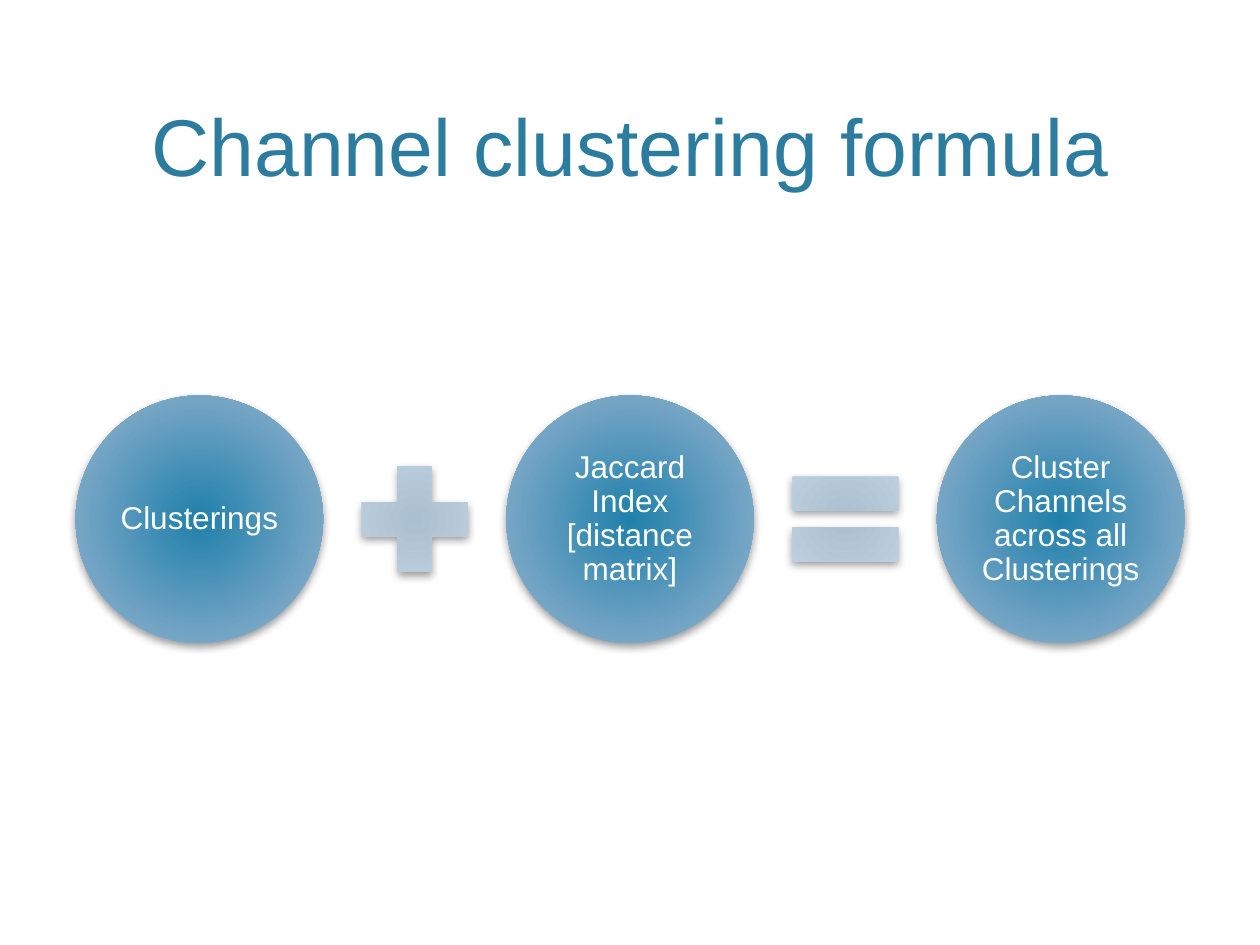
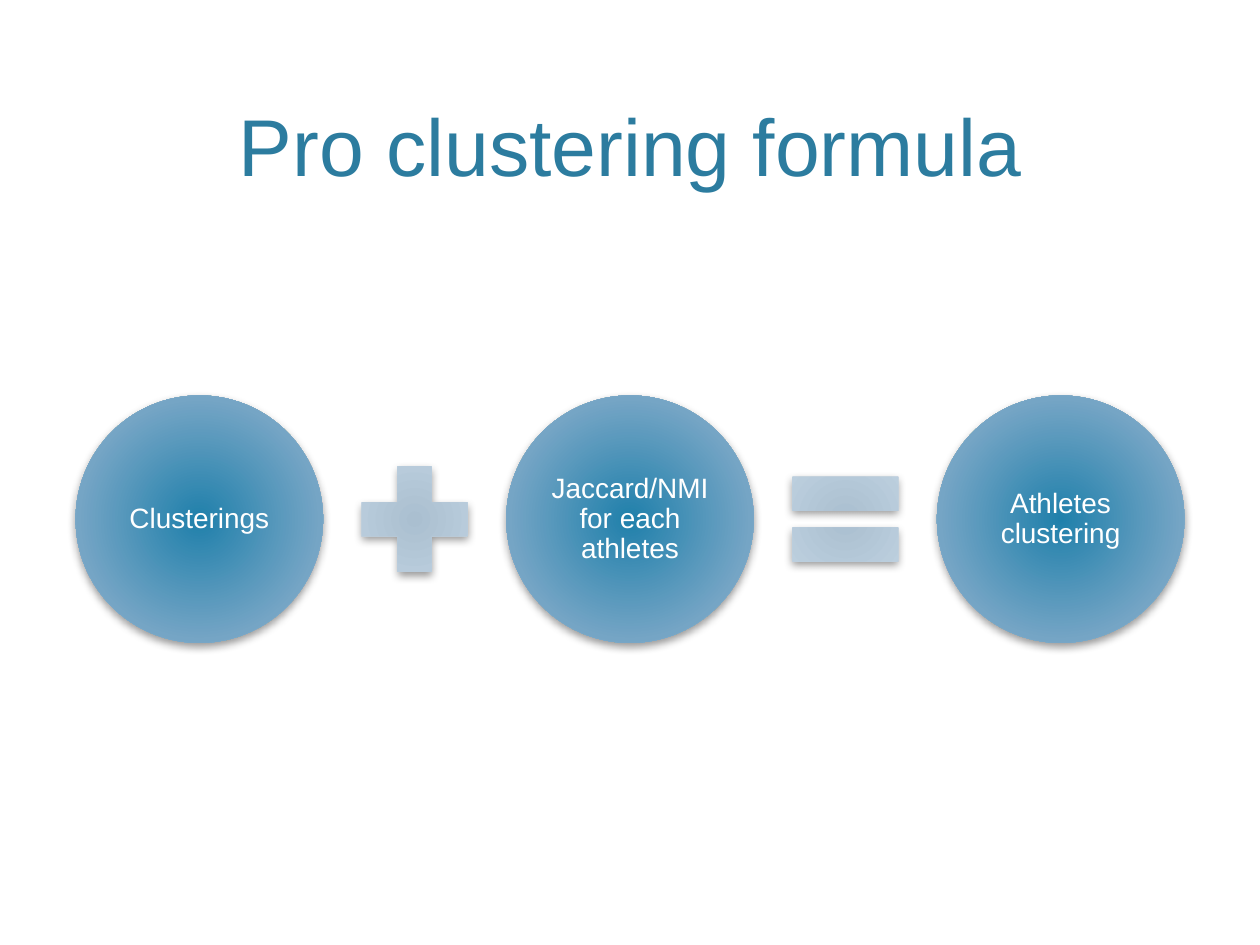
from dataclasses import dataclass

from pptx import Presentation
from pptx.dml.color import RGBColor
from pptx.enum.shapes import MSO_SHAPE as Preset
from pptx.enum.text import MSO_ANCHOR as Anchor, PP_ALIGN as Align
from pptx.oxml import parse_xml
from pptx.oxml.ns import nsdecls
from pptx.util import Pt

# Content: title, label size, and the three terms of each formula
FORMULAS = [
    ("Channel clustering formula", 18,
     ["Clusterings", "Jaccard Index [distance matrix]",
      "Cluster Channels across all Clusterings"]),
    ("Pro clustering formula", 16,
     ["Clusterings", "Jaccard/NMI for each athletes", "Athletes clustering"]),
]
OPERATORS = [Preset.MATH_PLUS, Preset.MATH_EQUAL]


@dataclass(frozen=True)
class Theme:
    font: str = "Arial"
    title_size: int = 46
    title_color: str = "2C7C9F"
    label_color: str = "FFFFFF"
    term_fill: tuple = ((0, "2080AB"), (69, "75A5C5"), (100, "B8CCDC"))
    operator_fill: tuple = ((0, "AABFD0"), (69, "BCCFDE"), (100, "D8E2EB"))
    shadow_color: str = "000000"
    shadow_opacity: int = 40
    shadow_blur: int = 5
    shadow_distance: int = 2


THEME = Theme()

# Layout in points: operators and gaps are fractions of a circle's diameter
SLIDE_WIDTH, SLIDE_HEIGHT = 720, 540
MARGIN = 43.2
CONTENT_WIDTH = SLIDE_WIDTH - 2 * MARGIN
TITLE_TOP, TITLE_HEIGHT = 8.64, 105.12
FORMULA_MIDDLE = 296.7
OPERATOR_RATIO, GAP_RATIO = 0.58, 0.08
CIRCLE = CONTENT_WIDTH / (3 + 2 * OPERATOR_RATIO + 4 * GAP_RATIO)
OPERATOR = CIRCLE * OPERATOR_RATIO
GAP = CIRCLE * GAP_RATIO


def write_text(shape, text, size, color, frame_format, line_spacing=None):
    frame = shape.text_frame
    for name, value in {"word_wrap": True, **frame_format}.items():
        setattr(frame, name, value)
    paragraph = frame.paragraphs[0]
    paragraph.alignment = Align.CENTER
    paragraph.line_spacing = line_spacing
    run = paragraph.add_run()
    run.text = text
    for name, value in {"name": THEME.font, "size": Pt(size)}.items():
        setattr(run.font, name, value)
    run.font.color.rgb = RGBColor.from_string(color)


def add_glossy_shape(slide, preset, left, size, stops):
    """Add a square-framed shape on the formula line, with glow fill and shadow."""
    shape = slide.shapes.add_shape(
        preset, Pt(left), Pt(FORMULA_MIDDLE - size / 2), Pt(size), Pt(size))
    shape.line.fill.background()
    shape.shadow.inherit = False

    # Radial gradient, placed right after the geometry
    stop_xml = "".join(
        f'<a:gs pos="{position * 1000}"><a:srgbClr val="{color}"/></a:gs>'
        for position, color in stops)
    properties = shape.element.spPr
    properties.insert(2, parse_xml(
        f'<a:gradFill {nsdecls("a")} rotWithShape="1"><a:gsLst>{stop_xml}</a:gsLst>'
        '<a:path path="circle"><a:fillToRect l="100000" t="100000" r="100000"'
        ' b="100000"/></a:path></a:gradFill>'))

    # Soft shadow straight below
    effects = properties.find("{*}effectLst")
    effects.append(parse_xml(
        f'<a:outerShdw {nsdecls("a")} blurRad="{Pt(THEME.shadow_blur)}"'
        f' dist="{Pt(THEME.shadow_distance)}" dir="5400000" rotWithShape="0">'
        f'<a:srgbClr val="{THEME.shadow_color}">'
        f'<a:alpha val="{THEME.shadow_opacity * 1000}"/></a:srgbClr></a:outerShdw>'))
    return shape


def add_title(slide, title):
    box = slide.shapes.add_textbox(
        Pt(MARGIN), Pt(TITLE_TOP), Pt(CONTENT_WIDTH), Pt(TITLE_HEIGHT))
    write_text(box, title, THEME.title_size, THEME.title_color,
               {"vertical_anchor": Anchor.BOTTOM})


def add_formula(slide, terms, label_size):
    inset = Pt(label_size / 10)
    label_format = {"vertical_anchor": Anchor.MIDDLE}
    for side in ("left", "top", "right", "bottom"):
        label_format[f"margin_{side}"] = inset

    pitch = CIRCLE + OPERATOR + 2 * GAP
    for index, term in enumerate(terms):
        left = MARGIN + index * pitch
        circle = add_glossy_shape(slide, Preset.OVAL, left, CIRCLE, THEME.term_fill)
        write_text(circle, term, label_size, THEME.label_color, label_format, 0.9)
        if index < len(OPERATORS):
            add_glossy_shape(slide, OPERATORS[index], left + CIRCLE + GAP,
                             OPERATOR, THEME.operator_fill)


def main():
    presentation = Presentation()
    presentation.slide_width = Pt(SLIDE_WIDTH)
    presentation.slide_height = Pt(SLIDE_HEIGHT)
    for title, label_size, terms in FORMULAS:
        slide = presentation.slides.add_slide(presentation.slide_layouts[6])
        add_title(slide, title)
        add_formula(slide, terms, label_size)
    presentation.save("out.pptx")


if __name__ == "__main__":
    main()
